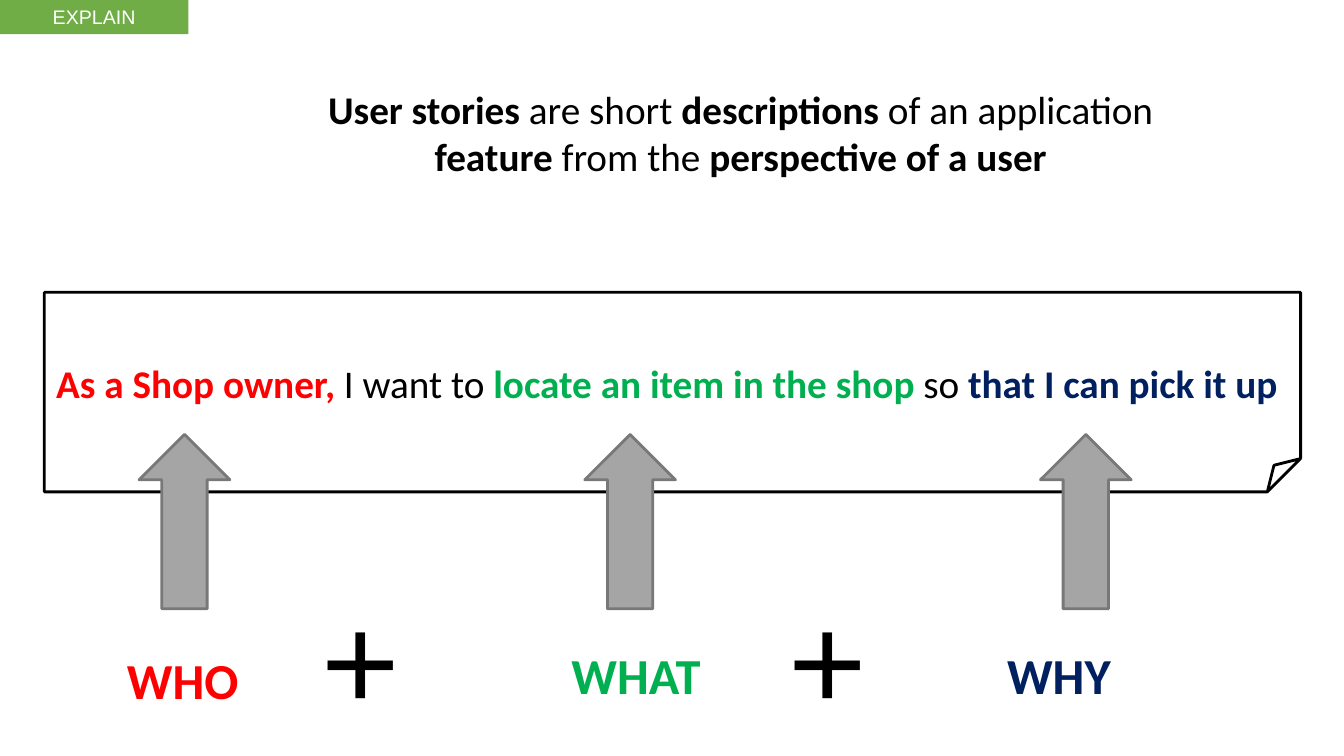
from pptx import Presentation
from pptx.dml.color import RGBColor
from pptx.enum.shapes import MSO_SHAPE as Preset
from pptx.enum.text import MSO_ANCHOR as Anchor, PP_ALIGN as Align
from pptx.util import Inches, Pt

THEME = {
    "black": "000000", "white": "FFFFFF", "green_tag": "70AD47",
    "who": "FF0000", "what": "00B050", "why": "002060",
    "arrow": "A5A5A5", "arrow_line": "787878",
    "body": 28, "label": 36, "plus": 96, "tag": 14, "line": 2,
}


def write_text(shape, runs, size, font="Calibri", align=Align.LEFT, anchor=Anchor.TOP):
    frame = shape.text_frame
    settings = {
        "word_wrap": True, "vertical_anchor": anchor,
        "margin_left": Inches(0.1), "margin_right": Inches(0.1),
        "margin_top": Inches(0.05), "margin_bottom": Inches(0.05),
    }
    for name, value in settings.items():
        setattr(frame, name, value)
    paragraph = frame.paragraphs[0]
    paragraph.alignment = align
    for text, color, bold in runs:
        run = paragraph.add_run()
        run.text = text
        for name, value in {"name": font, "size": Pt(THEME[size]), "bold": bold}.items():
            setattr(run.font, name, value)
        run.font.color.rgb = RGBColor.from_string(THEME[color])


def add_preset(preset, box, fill=None, line=None):
    shape = slide.shapes.add_shape(preset, *map(Inches, box))
    shape.shadow.inherit = False
    if fill:
        shape.fill.solid()
        shape.fill.fore_color.rgb = RGBColor.from_string(THEME[fill])
    else:
        shape.fill.background()
    if line:
        shape.line.color.rgb = RGBColor.from_string(THEME[line])
        shape.line.width = Pt(THEME["line"])
    else:
        shape.line.fill.background()
    return shape


presentation = Presentation()
presentation.slide_width = Inches(13.33)
presentation.slide_height = Inches(7.5)
slide = presentation.slides.add_slide(presentation.slide_layouts[5])

title = slide.shapes.title
for name, value in {"left": 2.8, "top": 0.8, "width": 9.09, "height": 1.04}.items():
    setattr(title, name, Inches(value))
definition = [
    ("User stories ", "black", True),
    ("are short ", "black", False),
    ("descriptions", "black", True),
    (" of an application ", "black", False),
    ("feature", "black", True),
    (" from the ", "black", False),
    ("perspective of a user", "black", True),
]
write_text(title, definition, "body", align=Align.CENTER)

story = slide.shapes.add_textbox(*map(Inches, (0.46, 3.52, 12.44, 0.57)))
story_parts = [
    ("As a Shop owner, ", "who", True),
    ("I want to ", "black", False),
    ("locate an item in the shop ", "what", True),
    ("so ", "black", False),
    ("that I can pick it up", "why", True),
]
write_text(story, story_parts, "body")

add_preset(Preset.FOLDED_CORNER, (0.44, 2.9, 12.46, 1.98), line="black")

questions = [
    ("WHO", "who", (1.16, 6.39, 1.32, 0.71), 1.38),
    ("WHAT", "what", (5.57, 6.34, 1.54, 0.71), 5.8),
    ("WHY", "why", (9.89, 6.34, 1.24, 0.71), 10.32),
]
for text, color, box, arrow_left in questions:
    label = slide.shapes.add_textbox(*map(Inches, box))
    write_text(label, [(text, color, True)], "label")
    add_preset(Preset.UP_ARROW, (arrow_left, 4.31, 0.9, 1.73), "arrow", "arrow_line")

for plus_left in (3.09, 7.72):
    plus = slide.shapes.add_textbox(*map(Inches, (plus_left, 5.67, 0.87, 1.72)))
    write_text(plus, [("+", "black", False)], "plus", font="Arial")

tag = add_preset(Preset.RECTANGLE, (0, 0, 1.87, 0.34), "green_tag")
write_text(tag, [("EXPLAIN", "white", False)], "tag", "Arial", Align.CENTER, Anchor.MIDDLE)

presentation.save("out.pptx")
